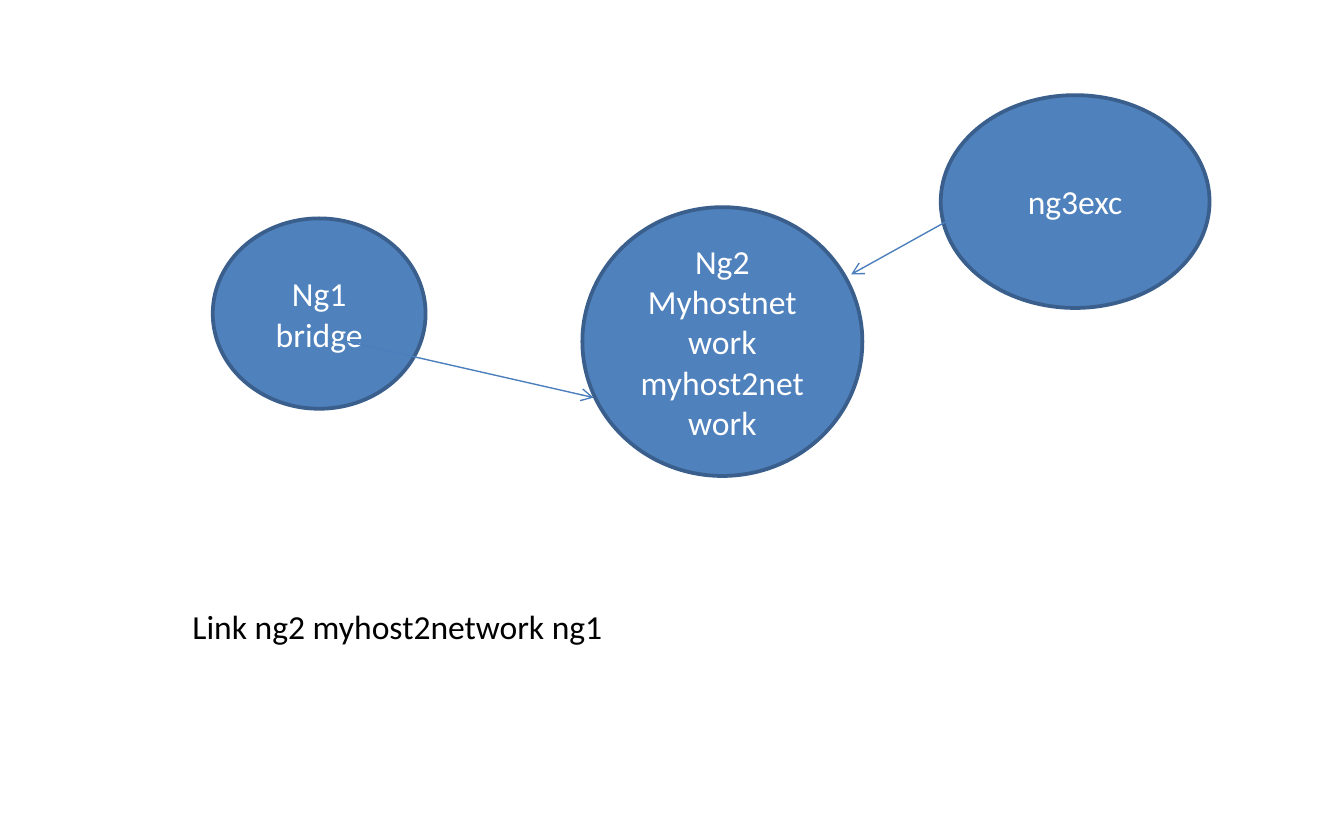
from lxml import etree
from pptx import Presentation
from pptx.dml.color import RGBColor
from pptx.enum.shapes import MSO_CONNECTOR, MSO_SHAPE
from pptx.enum.text import MSO_ANCHOR, MSO_AUTO_SIZE, PP_ALIGN
from pptx.oxml.ns import qn
from pptx.util import Inches, Pt

COLS, ROWS = 120, 75  # grid of the whole slide
HUES = {"node": "4F81BD", "edge": "3A5F8C", "link": "4B7EBC",
        "light": "FFFFFF", "dark": "000000"}


def hue(name):
    return RGBColor.from_string(HUES[name])


def scale(box, *spots):
    """Turn grid spots (column, row) into lengths inside the box."""
    left, top, width, height = box
    return [length for col, row in spots
            for length in (int(left + width * col / COLS),
                           int(top + height * row / ROWS))]


def place(box, col, row, wide, high):
    left, top, right, base = scale(box, (col, row), (col + wide, row + high))
    return left, top, right - left, base - top


def write(frame, text, tone, align):
    frame.text = text
    for para in frame.paragraphs:
        para.alignment = align
        for run in para.runs:
            run.font.name = "Calibri"
            run.font.size = Pt(18)
            run.font.color.rgb = hue(tone)


def add_node(slide, box, cell, text):
    node = slide.shapes.add_shape(MSO_SHAPE.OVAL, *place(box, *cell))
    node.shadow.inherit = False
    node.fill.solid()
    node.fill.fore_color.rgb = hue("node")
    node.line.color.rgb = hue("edge")
    node.line.width = Pt(2)
    node.text_frame.word_wrap = True
    node.text_frame.vertical_anchor = MSO_ANCHOR.MIDDLE
    write(node.text_frame, text, "light", PP_ALIGN.CENTER)


def add_link(slide, box, start, end):
    link = slide.shapes.add_connector(MSO_CONNECTOR.STRAIGHT,
                                      *scale(box, start, end))
    link.line.color.rgb = hue("link")
    link.line.width = Pt(0.75)
    # Open arrowhead at the end, no shadow
    props = link.line._get_or_add_ln()
    etree.SubElement(props, qn("a:tailEnd"), type="arrow")
    etree.SubElement(link._element.spPr, qn("a:effectLst"))


def add_note(slide, box, cell, text):
    note = slide.shapes.add_textbox(*place(box, *cell))
    note.text_frame.word_wrap = False
    note.text_frame.auto_size = MSO_AUTO_SIZE.SHAPE_TO_FIT_TEXT
    write(note.text_frame, text, "dark", PP_ALIGN.LEFT)


def draw_net(slide, box):
    # Bridge, hub and command
    add_node(slide, box, (19, 19.5, 19, 17), "Ng1\nbridge")
    add_node(slide, box, (52, 18.5, 25, 24),
             "Ng2\nMyhostnetwork\nmyhost2network")
    add_note(slide, box, (16, 53.5, 39.5, 4.85), "Link ng2 myhost2network ng1")
    add_link(slide, box, (31, 30.5), (53, 35.5))
    # Third node, linked to the hub
    add_node(slide, box, (84, 8.5, 24, 19), "ng3exc")
    add_link(slide, box, (85, 19.5), (76, 24.5))


def main():
    deck = Presentation()
    deck.slide_width, deck.slide_height = Inches(10), Inches(6.25)
    slide = deck.slides.add_slide(deck.slide_layouts[6])
    draw_net(slide, (0, 0, deck.slide_width, deck.slide_height))
    deck.save("out.pptx")


if __name__ == "__main__":
    main()
